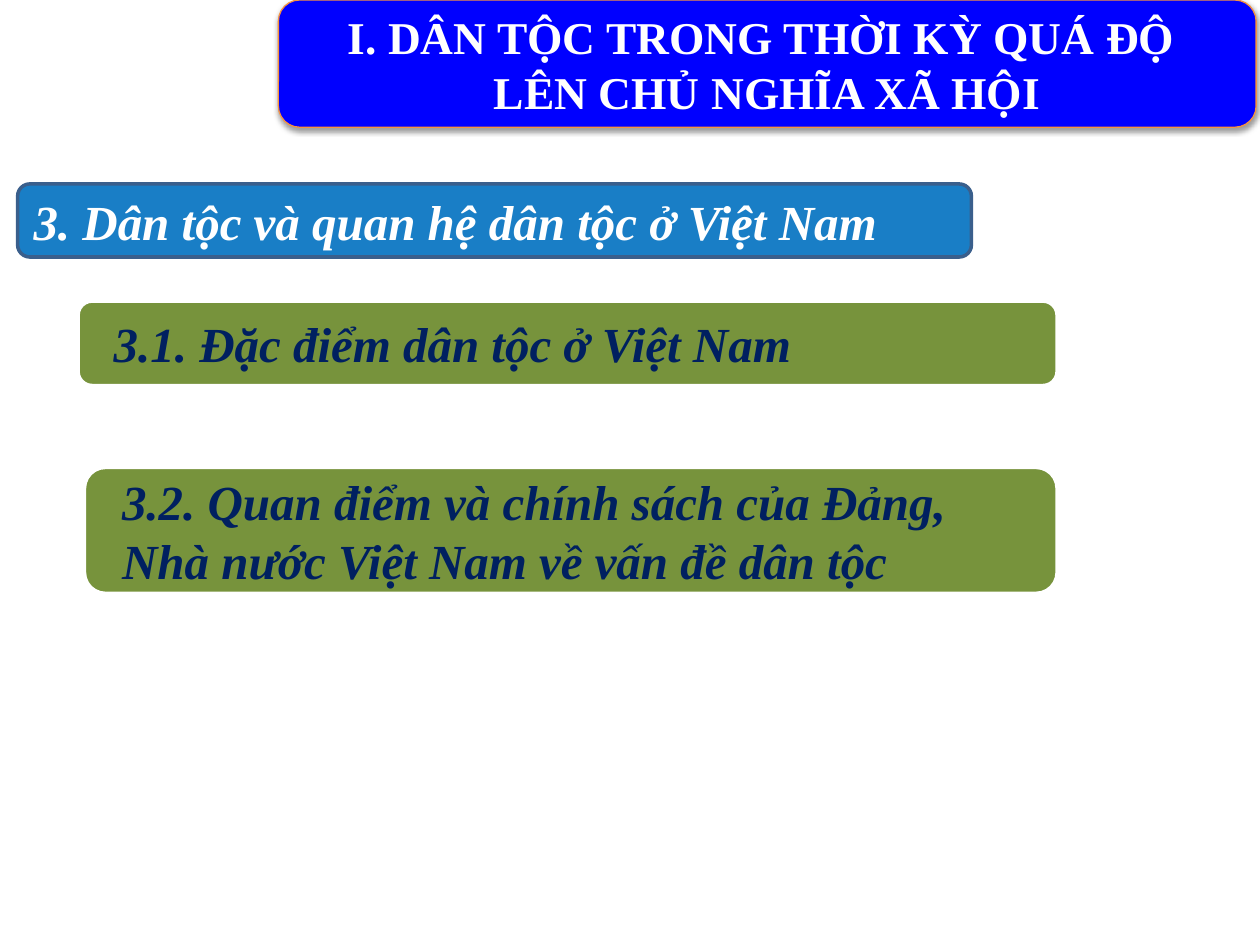
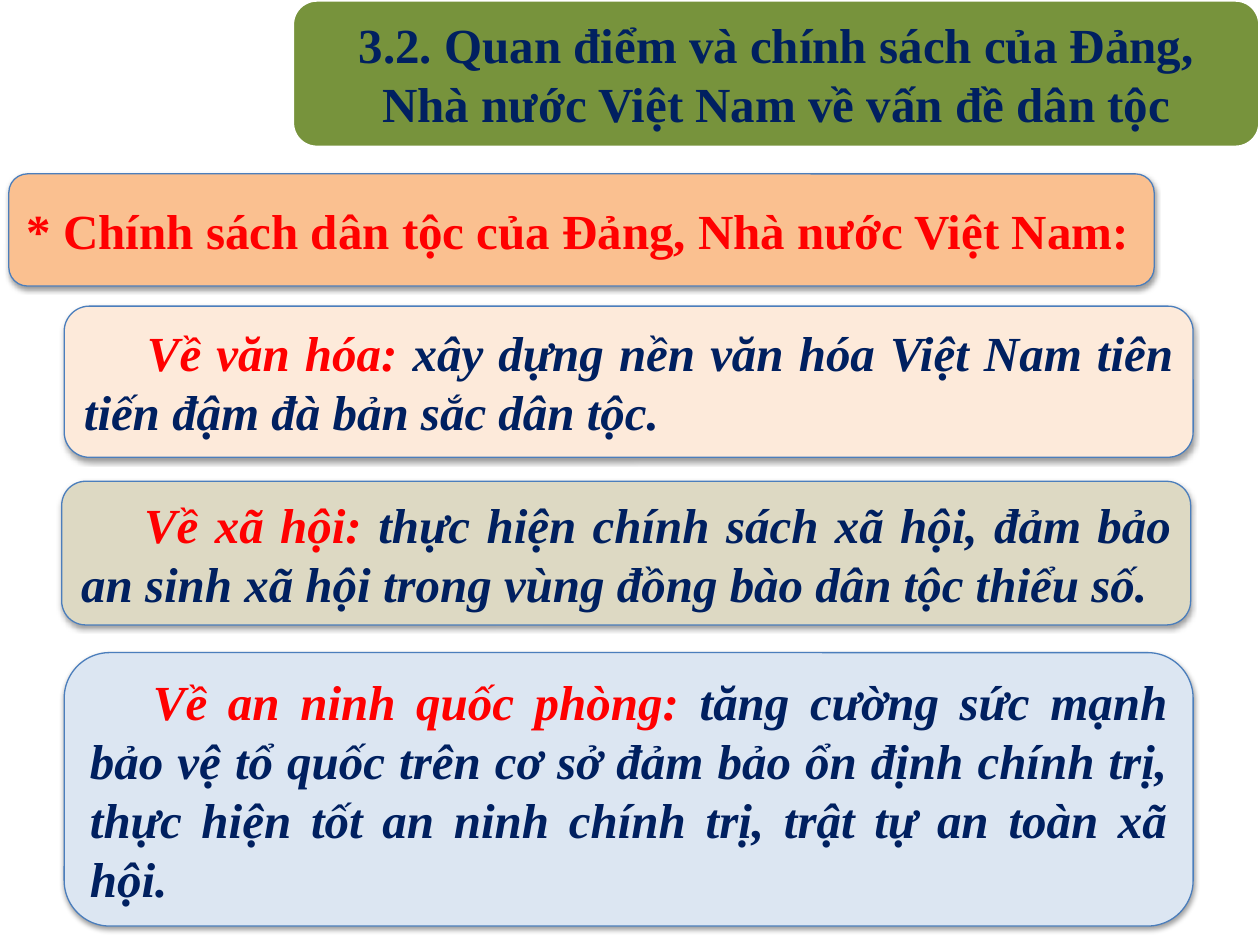
import pptx
import pptx.util
import pptx.dml.color
import pptx.enum.shapes
import pptx.enum.text
import pptx.oxml.ns
from dataclasses import dataclass
from lxml import etree

Inches = pptx.util.Inches
Align = pptx.enum.text.PP_ALIGN
qn = pptx.oxml.ns.qn


@dataclass(frozen=True)
class Theme:
    font: str = "Times New Roman"
    head: int = 26
    body: int = 28
    white: str = "FFFFFF"
    navy: str = "002060"
    red: str = "FF0000"
    royal: str = "0000FF"
    amber: str = "F69240"
    blue: str = "0070C0"
    steel: str = "3A5F8C"
    edge: str = "4B7EBC"
    green: str = "77933C"
    peach: str = "FAC090"
    cream: str = "FDEADA"
    sand: str = "DDD9C3"
    ice: str = "DCE6F2"


THEME = Theme()
POLICY = "3.2. Quan điểm và chính sách của Đảng, Nhà nước Việt Nam về vấn đề dân tộc"


def rgb(code):
    return pptx.dml.color.RGBColor.from_string(code)


def write(frame, paras, size=THEME.body, color=THEME.navy, italic=True,
          align=Align.LEFT, indent=0, side=0.1, edge=0.05):
    frame.word_wrap = True
    frame.auto_size = pptx.enum.text.MSO_AUTO_SIZE.NONE
    frame.vertical_anchor = pptx.enum.text.MSO_ANCHOR.MIDDLE
    frame.margin_left = frame.margin_right = Inches(side)
    frame.margin_top = frame.margin_bottom = Inches(edge)
    for i, runs in enumerate(paras):
        para = frame.paragraphs[0] if i == 0 else frame.add_paragraph()
        para.alignment = align
        if indent:
            para._p.get_or_add_pPr().set("indent", str(Inches(indent)))
        for words, tint in runs:
            run = para.add_run()
            run.text = words
            font = run.font
            font.name, font.size = THEME.font, pptx.util.Pt(size)
            font.bold, font.italic = True, italic
            font.color.rgb = rgb(tint or color)


def shade(shape):
    props = shape._element.spPr
    cast = etree.SubElement(
        props.find(qn("a:effectLst")), qn("a:outerShdw"),
        blurRad=str(pptx.util.Pt(3.1)), dist=str(pptx.util.Pt(1.6)),
        dir="5400000", rotWithShape="0")
    tint = etree.SubElement(cast, qn("a:srgbClr"), val="000000")
    etree.SubElement(tint, qn("a:alpha"), val="38000")


def box(slide, place, fill, line, width=2, shadow=False, alpha=None):
    shape = slide.shapes.add_shape(
        pptx.enum.shapes.MSO_SHAPE.ROUNDED_RECTANGLE, *map(Inches, place))
    shape.shadow.inherit = False
    shape.fill.solid()
    shape.fill.fore_color.rgb = rgb(fill)
    shape.line.color.rgb = rgb(line)
    shape.line.width = pptx.util.Pt(width)
    if shadow:
        shade(shape)
    if alpha:
        tint = shape._element.spPr.find(qn("a:solidFill"))[0]
        etree.SubElement(tint, qn("a:alpha"), val=str(alpha * 1000))
    return shape


def title(slide, place, lines, **form):
    head = slide.shapes.title
    head.left, head.top, head.width, head.height = map(Inches, place)
    write(head.text_frame, [[(line, None)] for line in lines],
          italic=False, align=Align.CENTER, **form)
    slide.shapes._spTree.append(head._element)


def topic(slide, place, words):
    shape = box(slide, place, THEME.green, THEME.white)
    write(shape.text_frame, [[(words, None)]], side=0.25, edge=0)


def panel(slide, place, fill, runs, **form):
    shape = box(slide, place, fill, THEME.edge, width=0.75, shadow=True)
    write(shape.text_frame, [runs], align=Align.JUSTIFY, **form)


def outline(slide):
    place = (2.21, 0, 7.76, 1.01)
    box(slide, place, THEME.royal, THEME.amber, width=0.75, shadow=True)
    title(slide, place, ["I. DÂN TỘC TRONG THỜI KỲ QUÁ ĐỘ ", "LÊN CHỦ NGHĨA XÃ HỘI"],
          size=THEME.head, color=THEME.white)
    part = box(slide, (0.14, 1.46, 7.57, 0.58), THEME.blue, THEME.steel, alpha=90)
    write(part.text_frame, [[("3. Dân tộc và quan hệ dân tộc ở Việt Nam", None)]],
          color=THEME.white, align=Align.JUSTIFY)
    topic(slide, (0.62, 2.39, 7.77, 0.67), "3.1. Đặc điểm dân tộc ở Việt Nam")
    topic(slide, (0.67, 3.71, 7.72, 1), POLICY)


def policy(slide):
    place = (2.32, 0, 7.68, 1.17)
    box(slide, place, THEME.green, THEME.white)
    title(slide, place, [POLICY], side=0.29, edge=0)
    panel(slide, (0.07, 1.38, 9.09, 0.89), THEME.peach,
          [("* Chính sách dân tộc của Đảng, Nhà nước Việt Nam:", THEME.red)], italic=False)
    fields = [
        (0.51, 2.43, 1.2, THEME.cream, "Về văn hóa: ",
         "xây dựng nền văn hóa Việt Nam tiên tiến đậm đà bản sắc dân tộc."),
        (0.49, 3.82, 1.14, THEME.sand, "Về xã hội: ",
         "thực hiện chính sách xã hội, đảm bảo an sinh xã hội trong vùng "
         "đồng bào dân tộc thiểu số."),
        (0.51, 5.18, 2.17, THEME.ice, "Về an ninh quốc phòng: ",
         "tăng cường sức mạnh bảo vệ tổ quốc trên cơ sở đảm bảo ổn định chính trị, "
         "thực hiện tốt an ninh chính trị, trật tự an toàn xã hội."),
    ]
    for left, top, height, fill, label, words in fields:
        panel(slide, (left, top, 8.96, height), fill,
              [(label, THEME.red), (words, None)], indent=0.5)


def main():
    deck = pptx.Presentation()
    deck.slide_width, deck.slide_height = Inches(10), Inches(7.5)
    for build in (outline, policy):
        build(deck.slides.add_slide(deck.slide_layouts[5]))
    deck.save("out.pptx")


if __name__ == "__main__":
    main()
